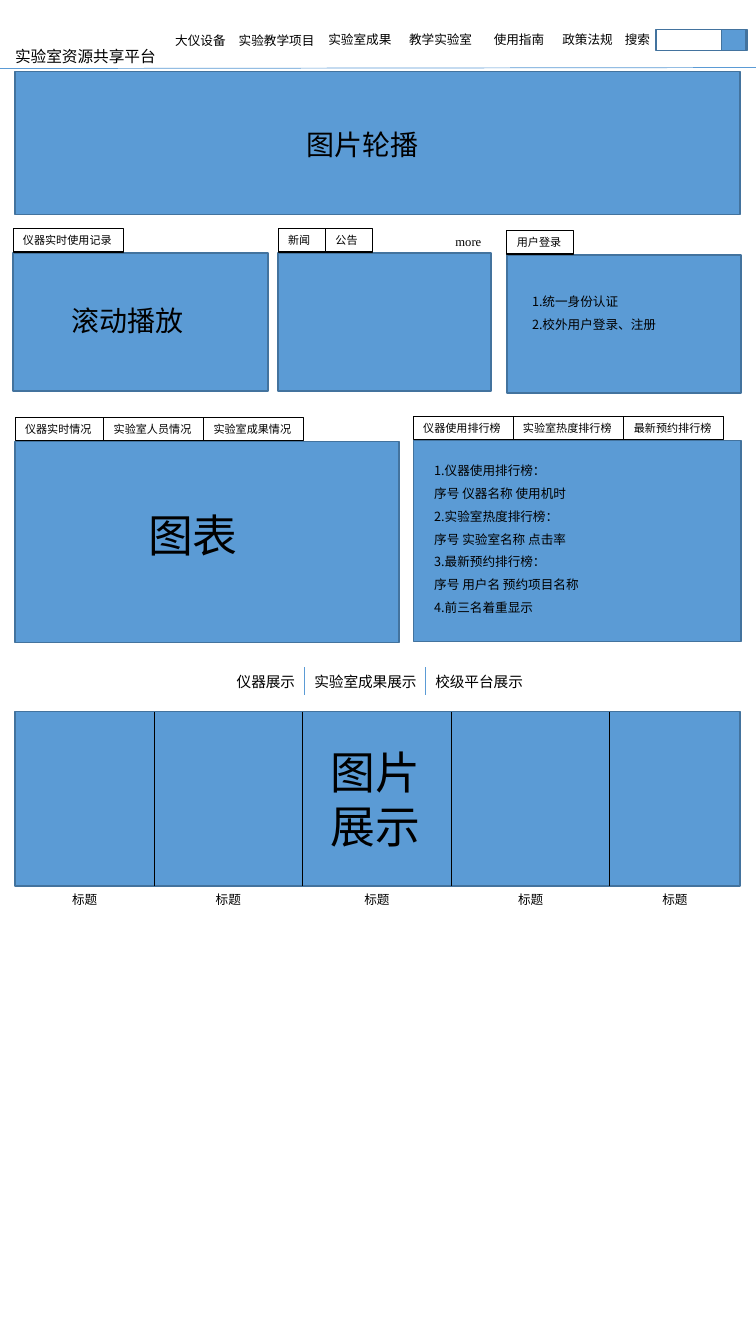
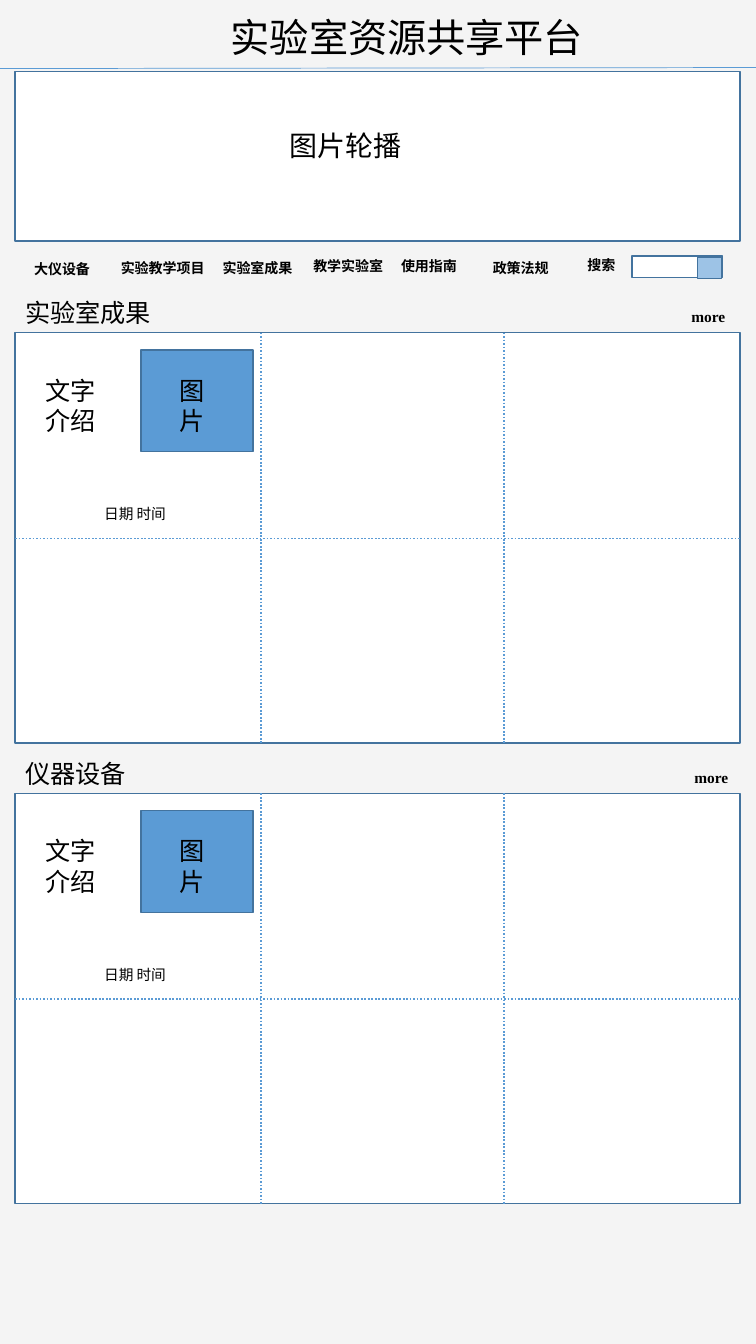
"""Builds two wireframe slides for a laboratory resource sharing platform."""
from lxml import etree
from pptx import Presentation
from pptx.dml.color import RGBColor
from pptx.enum.dml import MSO_LINE
from pptx.enum.shapes import MSO_CONNECTOR, MSO_SHAPE
from pptx.enum.text import MSO_ANCHOR, MSO_AUTO_SIZE, PP_ALIGN
from pptx.oxml.ns import qn
from pptx.util import Inches, Pt

RECT, LINE = MSO_SHAPE.RECTANGLE, MSO_CONNECTOR.STRAIGHT
LEFT, MID = PP_ALIGN.LEFT, PP_ALIGN.CENTER
TOP, FIXED, DOTS = MSO_ANCHOR.TOP, MSO_AUTO_SIZE.NONE, MSO_LINE.ROUND_DOT
BLACK = RGBColor(0, 0, 0)
WHITE = RGBColor(0xFF, 0xFF, 0xFF)
GREY = RGBColor(0xF4, 0xF4, 0xF4)
BLUE = RGBColor(0x5B, 0x9B, 0xD5)
PALE = RGBColor(0x9D, 0xC3, 0xE6)
EDGE = RGBColor(0x43, 0x73, 0x9E)
SANS, SERIF, BODY = "Noto Sans CJK SC", "Times New Roman", "Calibri"

NAME = "实验室资源共享平台"
BANNER = "图片轮播"
MENU = ["大仪设备", "实验教学项目", "实验室成果", "教学实验室", "使用指南", "政策法规", "搜索"]
HOME = {
    "spots": [(1.64, 0.28, 0.72), (2.27, 0.28, 1.01), (3.16, 0.27, 0.84), (3.96, 0.27, 0.86),
              (4.8, 0.27, 0.78), (5.48, 0.27, 0.78), (6.1, 0.27, 0.78)],
    "search": (6.51, 0.29), "button": (7.16, 0.29), "tint": BLUE,
    "high": 0.25, "size": 9, "bold": False,
}
LIST = {
    "spots": [(0.24, 2.53, 0.79), (1.1, 2.52, 1.05), (2.11, 2.52, 0.95), (3.01, 2.51, 0.96),
              (3.88, 2.51, 0.78), (4.79, 2.52, 0.78), (5.73, 2.5, 0.5)],
    "search": (6.27, 2.54), "button": (6.92, 2.55), "tint": PALE,
    "high": 0.27, "size": 10, "bold": True,
}
PANELS = [
    ((0.13, 2.51, 2.53, 1.37), ["仪器实时使用记录"]),
    ((2.76, 2.51, 2.11, 1.37), ["新闻", "公告"]),
    ((5.03, 2.53, 2.32, 1.37), ["用户登录"]),
    ((0.15, 4.38, 3.81, 1.99), ["仪器实时情况", "实验室人员情况", "实验室成果情况"]),
    ((4.1, 4.37, 3.25, 1.99), ["仪器使用排行榜", "实验室热度排行榜", "最新预约排行榜"]),
]
LOGIN = ["1.统一身份认证", "2.校外用户登录、注册"]
RANKS = ["1.仪器使用排行榜：", "序号 仪器名称 使用机时", "2.实验室热度排行榜：", "序号 实验室名称 点击率",
         "3.最新预约排行榜：", "序号 用户名 预约项目名称", "4.前三名着重显示"]
SHOWS = [("仪器展示", 2.25, 0.9), ("实验室成果展示", 3.02, 1.25), ("校级平台展示", 4.22, 1.42)]
CUTS = [0.15, 1.53, 3, 4.48, 6.05, 7.34]
BLOCKS = [("实验室成果", 3.3, 6.76), ("仪器设备", 7.87, 6.79)]


def place(shape, area):
    """Move a shape to left, top, width, height in inches."""
    for key, val in zip(("left", "top", "width", "height"), area):
        setattr(shape, key, Inches(val))


def write(shape, lines, size, font=SANS, bold=False, align=LEFT, space=1.0):
    """Fill a shape with formatted lines."""
    frame = shape.text_frame
    look = {"word_wrap": True, "auto_size": FIXED, "vertical_anchor": TOP,
            "margin_left": Inches(0.1), "margin_top": Inches(0.05), "margin_bottom": Inches(0.05),
            "margin_right": Inches(0.1 if align == MID else 0.05)}
    for key, val in look.items():
        setattr(frame, key, val)
    for num, line in enumerate(lines):
        para = frame.add_paragraph() if num else frame.paragraphs[0]
        para.alignment, para.line_spacing = align, space
        run = para.add_run()
        run.text = line
        for key, val in {"size": Pt(size), "bold": bold, "name": font}.items():
            setattr(run.font, key, val)
        run.font.color.rgb = BLACK
        etree.SubElement(run.font._element, qn("a:ea")).set("typeface", SANS)


def text(slide, words, area, size, **look):
    """Add a text box."""
    box = slide.shapes.add_textbox(0, 0, 0, 0)
    place(box, area)
    write(box, [words] if isinstance(words, str) else words, size, **look)


def rect(slide, area, fill=None, edge=EDGE, width=1):
    """Add a framed rectangle."""
    box = slide.shapes.add_shape(RECT, *map(Inches, area))
    box.shadow.inherit = False
    if fill is None:
        box.fill.background()
    else:
        box.fill.solid()
        box.fill.fore_color.rgb = fill
    box.line.color.rgb, box.line.width = edge, Pt(width)
    return box


def rule(slide, ends, color=BLUE, width=0.5, dash=None):
    """Add a straight line."""
    line = slide.shapes.add_connector(LINE, *map(Inches, ends))
    line.line.color.rgb, line.line.width = color, Pt(width)
    if dash:
        line.line.dash_style = dash
    etree.SubElement(line._element.spPr, qn("a:effectLst"))


def start(deck, back, area, size, menu):
    """Add a slide with its title, header line and menu."""
    slide = deck.slides.add_slide(deck.slide_layouts[5])
    slide.background.fill.solid()
    slide.background.fill.fore_color.rgb = back
    place(slide.shapes.title, area)
    write(slide.shapes.title, [NAME], size)
    rule(slide, (0, 0.68, 7.5, 0.67))
    for word, (x, y, w) in zip(MENU, menu["spots"]):
        text(slide, word, (x, y, w, menu["high"]), menu["size"], bold=menu["bold"])
    rect(slide, (*menu["search"], 0.9, 0.21), WHITE)
    rect(slide, (*menu["button"], 0.24, 0.21), menu["tint"])
    return slide


def home(deck):
    """Build the home page."""
    slide = start(deck, WHITE, (0.05, 0.41, 1.64, 0.29), 11.2, HOME)
    rect(slide, (0.15, 0.71, 7.19, 1.42), BLUE)
    text(slide, BANNER, (2.94, 1.22, 1.48, 0.44), 20)
    for area, tabs in PANELS:
        rect(slide, area, BLUE)
        x, y = area[:2]
        for tab in tabs:
            w = max(0.11 * len(tab) + 0.22, 0.47)
            write(rect(slide, (x, y - 0.24, w, 0.23), edge=BLACK, width=0.75), [tab], 7.9)
            x += w
    text(slide, "滚动播放", (0.61, 2.96, 1.48, 0.44), 20)
    text(slide, "more", (4.42, 2.27, 0.5, 0.25), 9, font=SERIF)
    text(slide, LOGIN, (5.18, 2.79, 2.16, 0.56), 9, space=1.5)
    text(slide, "图表", (1.37, 4.99, 1.15, 0.64), 32)
    text(slide, RANKS, (4.21, 4.47, 2.16, 1.69), 9, space=1.5)
    for num, (word, x, w) in enumerate(SHOWS):
        text(slide, word, (x, 6.62, w, 0.28), 10.5)
        if num:
            rule(slide, (x, 6.62, x, 6.89))
    rect(slide, (0.15, 7.06, 7.19, 1.73), BLUE)
    for x in CUTS[1:-1]:
        rule(slide, (x, 7.06, x, 8.79), BLACK)
    for x, end in zip(CUTS, CUTS[1:]):
        text(slide, "标题", (x, 8.8, end - x, 0.25), 9, align=MID)
    text(slide, "图片展示", (3.18, 7.34, 1.15, 1.18), 32)


def listing(deck):
    """Build the page of results and devices."""
    slide = start(deck, GREY, (2.19, 0.08, 3.9, 0.57), 28, LIST)
    rect(slide, (0.15, 0.71, 7.19, 1.68), WHITE)
    text(slide, BANNER, (2.77, 1.23, 1.94, 0.44), 20)
    for head, y, more in BLOCKS:
        rect(slide, (0.15, y, 7.19, 4.07), WHITE)
        mid, end = y + 2.04, y + 4.07
        for ends in ((0.15, mid, 7.35, mid), (2.59, y, 2.59, end), (5, y, 5, end)):
            rule(slide, ends, width=1.25, dash=DOTS)
        text(slide, head, (0.15, y - 0.4, 2.3, 0.4), 18)
        text(slide, "more", (more, y - 0.3, 0.55, 0.29), 11, font=SERIF, bold=True)
        rect(slide, (1.4, y + 0.17, 1.11, 1.01), BLUE)
        text(slide, "图片", (1.68, y + 0.37, 0.57, 0.71), 18, font=BODY)
        text(slide, "文字介绍", (0.35, y + 0.37, 0.85, 0.71), 18, font=BODY)
        text(slide, "日期 时间", (0.35, y + 1.66, 1.98, 0.29), 10.5, align=MID)


def main():
    """Build and save the deck."""
    deck = Presentation()
    deck.slide_width, deck.slide_height = Inches(7.5), Inches(13.33)
    home(deck)
    listing(deck)
    deck.save("out.pptx")


if __name__ == "__main__":
    main()
